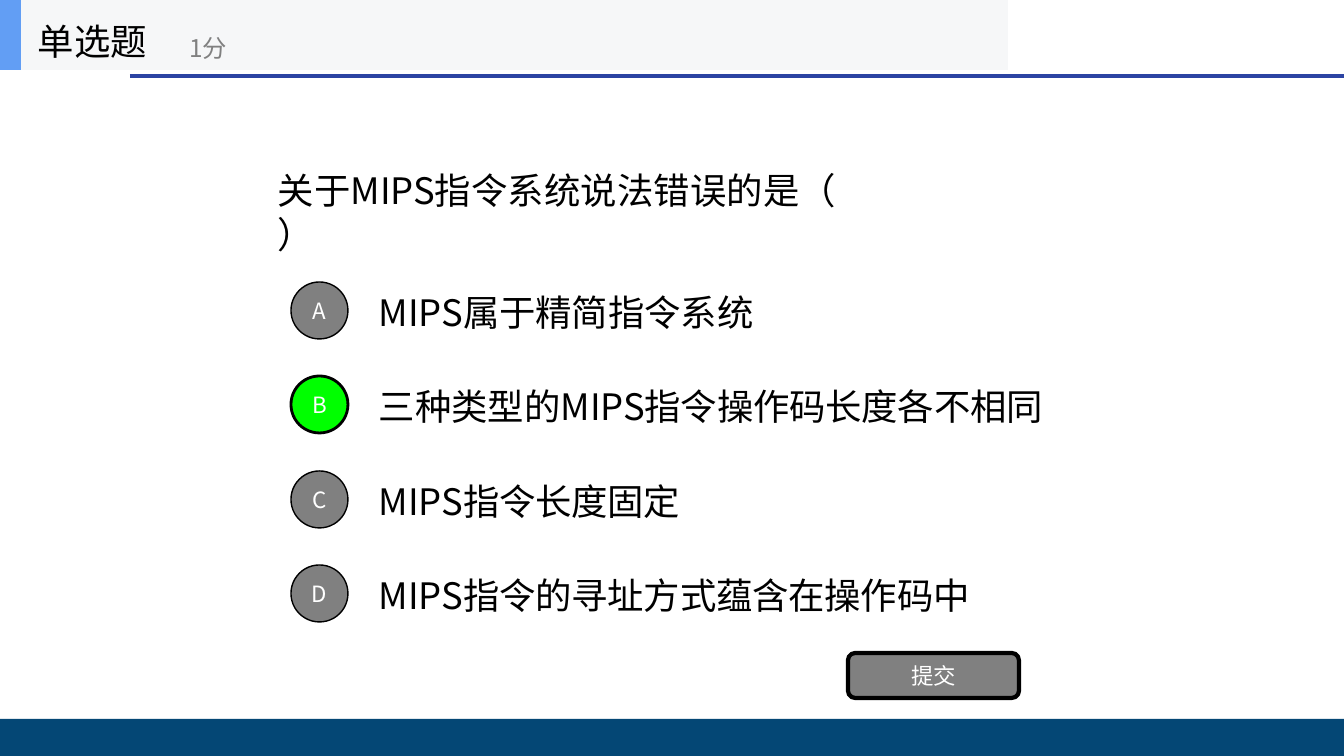
"""Builds a single-choice quiz slide about the MIPS instruction set."""
import pptx
import pptx.dml.color
import pptx.enum.shapes
import pptx.enum.text
import pptx.oxml
import pptx.oxml.ns
import pptx.util

PX = 914400 / 100.8
SHAPES = pptx.enum.shapes.MSO_SHAPE
ALIGN = pptx.enum.text.PP_ALIGN
ANCHOR = pptx.enum.text.MSO_ANCHOR


def px(length):
    return pptx.util.Emu(round(length * PX))


def color(value):
    return pptx.dml.color.RGBColor.from_string(value)


def child(parent, tag):
    return pptx.oxml.ns.qn(tag) and parent.makeelement(pptx.oxml.ns.qn(tag), {})


class QuizSlide:
    font = "Noto Sans CJK SC"
    black, white, gray, green = "000000", "FFFFFF", "808080", "00FF00"
    text_size, label_size, line_height = 26, 16, 31.4

    def __init__(self, presentation):
        self.slide = presentation.slides.add_slide(presentation.slide_layouts[5])

    def place(self, shape, left, top, width, height):
        shape.left, shape.top = px(left), px(top)
        shape.width, shape.height = px(width), px(height)

    def frame(self, shape, anchor, top_inset=0):
        frame = shape.text_frame
        frame.word_wrap = True
        frame.auto_size = pptx.enum.text.MSO_AUTO_SIZE.NONE
        frame.vertical_anchor = anchor
        frame.margin_left = frame.margin_right = frame.margin_bottom = 0
        frame.margin_top = px(top_inset)
        return frame

    def run(self, paragraph, text, size, fill, spacing=0, baseline=0):
        run = paragraph.add_run()
        run.text = text
        run.font.size = pptx.util.Pt(size)
        run.font.name = self.font
        run.font.color.rgb = color(fill)
        properties = run._r.get_or_add_rPr()
        properties.set("spc", str(round(spacing * 100)))
        if baseline:
            properties.set("baseline", str(baseline * 1000))
        east_asian = child(properties, "a:ea")
        east_asian.set("typeface", self.font)
        properties.append(east_asian)

    def line_of_text(self, frame, indent, tab=None):
        paragraph = frame.paragraphs[0]
        paragraph.alignment = ALIGN.LEFT
        paragraph.line_spacing = pptx.util.Pt(self.line_height)
        paragraph.space_before = pptx.util.Pt(0)
        properties = paragraph._p.get_or_add_pPr()
        properties.set("marL", str(px(indent)))
        properties.set("indent", "0")
        if tab:
            tabs = child(properties, "a:tabLst")
            stop = child(tabs, "a:tab")
            stop.set("pos", str(px(tab)))
            stop.set("algn", "l")
            tabs.append(stop)
            properties.append(tabs)
        return paragraph

    def title(self, box, fill, runs):
        shape = self.slide.shapes.title
        self.place(shape, *box)
        shape.fill.solid()
        shape.fill.fore_color.rgb = color(fill)
        paragraph = self.line_of_text(self.frame(shape, ANCHOR.TOP, 20), 17, 157)
        for run in runs:
            self.run(paragraph, *run)

    def text(self, box, runs, tab=None):
        shape = self.slide.shapes.add_textbox(*map(px, box))
        paragraph = self.line_of_text(self.frame(shape, ANCHOR.TOP), 1, tab)
        for text, spacing in runs:
            self.run(paragraph, text, self.text_size, self.black, spacing)

    def block(self, kind, box, fill, outline=0, label=""):
        shape = self.slide.shapes.add_shape(kind, *map(px, box))
        shape.shadow.inherit = False
        shape.fill.solid()
        shape.fill.fore_color.rgb = color(fill)
        if outline:
            shape.line.color.rgb = color(self.black)
            shape.line.width = pptx.util.Pt(outline)
        else:
            shape.line.fill.background()
        if label:
            paragraph = self.frame(shape, ANCHOR.MIDDLE).paragraphs[0]
            paragraph.alignment = ALIGN.CENTER
            self.run(paragraph, label, self.label_size, self.white, -0.4)
        return shape

    def rule(self, left, right, top, fill, width):
        line = self.slide.shapes.add_connector(
            pptx.enum.shapes.MSO_CONNECTOR.STRAIGHT, px(left), px(top), px(right), px(top))
        line.line.color.rgb = color(fill)
        line.line.width = pptx.util.Pt(width)
        properties = line._element.spPr
        properties.append(child(properties, "a:effectLst"))


def main():
    presentation = pptx.Presentation()
    presentation.slide_width, presentation.slide_height = px(1344), px(756)
    quiz = QuizSlide(presentation)

    quiz.rule(130, 1344, 76, "2C44A3", 3)
    quiz.block(SHAPES.RECTANGLE, (0, 719, 1344, 37), "044775")
    quiz.block(SHAPES.RECTANGLE, (0, 0, 21, 70), "629EF4")
    quiz.title((21, 0, 987, 70), "F6F7F8", [
        ("单选", quiz.text_size, quiz.black),
        ("题\t", quiz.text_size, quiz.black, -0.5),
        ("1", 30, quiz.gray, 0, -4),
        ("分", 30, quiz.gray, -0.8, -4),
    ])

    quiz.text((277, 168, 624, 46), [
        ("关于MIPS", -0.1), ("指令系", 0), ("统", -0.2), ("说法", 0), ("错", -0.2),
        ("误的", 0), ("是", -0.2), ("（\t）", -0.5),
    ], tab=586)

    options = [
        ("A", 384, [("MIPS属于精简指令系统", -0.1)]),
        ("B", 675, [("三种类型的MIPS", -0.1), ("指令操作码长度各不相同", -0.2)]),
        ("C", 311, [("MIPS", -0.1), ("指令长度固定", -0.2)]),
        ("D", 603, [("MIPS", -0.1), ("指令的寻址方式蕴含在操作码中", -0.2)]),
    ]
    for index, (letter, width, runs) in enumerate(options):
        top = 282 + index * 189 // 2
        chosen = letter == "B"
        quiz.block(SHAPES.OVAL, (291, top, 57, 57),
                   quiz.green if chosen else quiz.gray, 2 if chosen else 1, letter)
        quiz.text((378, top + 8, width, 46), runs)

    button = quiz.block(SHAPES.ROUNDED_RECTANGLE, (848, 653, 171, 45), quiz.gray, 3, "提交")
    button.adjustments[0] = 0.16

    presentation.save("out.pptx")


if __name__ == "__main__":
    main()
